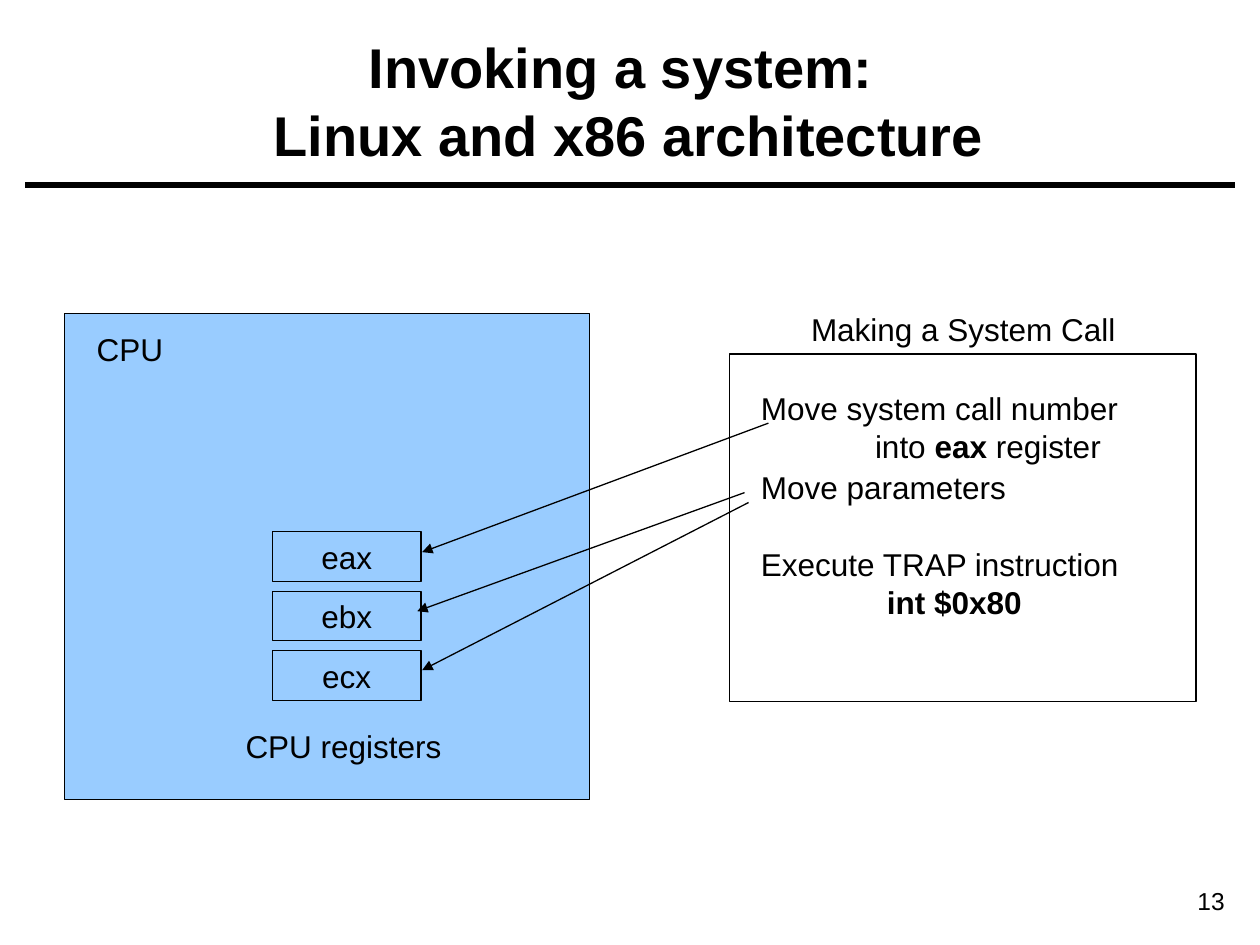
"""Build a slide on invoking a Linux system call on the x86 architecture."""
from lxml import etree
from pptx import Presentation
from pptx import util as u
from pptx.dml.color import RGBColor
from pptx.enum import shapes, text
from pptx.oxml import ns

BLACK = RGBColor(0x00, 0x00, 0x00)
SKY = RGBColor(0x99, 0xCC, 0xFF)
LEFT, CENTER, RIGHT = text.PP_ALIGN.LEFT, text.PP_ALIGN.CENTER, text.PP_ALIGN.RIGHT
TOP, MIDDLE = text.MSO_ANCHOR.TOP, text.MSO_ANCHOR.MIDDLE


def write(words, box, size=18, bold=False, align=LEFT, anchor=TOP,
          indents=(), gaps=(), framed=False, fill=None):
    """Put text in a box; words between asterisks are bold."""
    place = [u.Cm(length) for length in box]
    if framed:
        holder = slide.shapes.add_shape(shapes.MSO_SHAPE.RECTANGLE, *place)
        holder.shadow.inherit = False
        holder.line.color.rgb = BLACK
        holder.line.width = u.Pt(0.75)
        if fill is None:
            holder.fill.background()
        else:
            holder.fill.solid()
            holder.fill.fore_color.rgb = fill
    else:
        holder = slide.shapes.add_textbox(*place)
    if not words:
        return
    frame = holder.text_frame
    frame.word_wrap = True
    frame.vertical_anchor = anchor
    for row, sentence in enumerate(words.split("\n")):
        paragraph = frame.add_paragraph() if row else frame.paragraphs[0]
        paragraph.alignment = align
        if row in indents:
            paragraph._p.get_or_add_pPr().set("marL", str(u.Cm(indents[row])))
        if row in gaps:
            paragraph.space_before = u.Pt(gaps[row])
        for part, piece in enumerate(sentence.split("*")):
            if piece:
                run = paragraph.add_run()
                run.text = piece
                run.font.name = "Arial"
                run.font.size = u.Pt(size)
                run.font.bold = bold or part % 2 == 1
                run.font.color.rgb = BLACK


def connect(start, end, width=0.75, arrow=True):
    """Draw a straight line, with an arrowhead at its end if wanted."""
    link = slide.shapes.add_connector(
        shapes.MSO_CONNECTOR.STRAIGHT, *[u.Cm(length) for length in start + end])
    link.line.color.rgb = BLACK
    link.line.width = u.Pt(width)
    if arrow:
        etree.SubElement(link.line._get_or_add_ln(), ns.qn("a:tailEnd"), type="triangle")
    etree.SubElement(link._element.spPr, ns.qn("a:effectLst"))


deck = Presentation()
deck.slide_width, deck.slide_height = u.Cm(25.4), u.Cm(19.05)
slide = deck.slides.add_slide(deck.slide_layouts[6])

connect((0.51, 3.73), (24.89, 3.73), width=3, arrow=False)
write("13", (22.3, 17.73, 2.64, 0.86), size=14, align=RIGHT)
write("Invoking a system: \nLinux and x86 architecture", (0.88, 0.43, 23.6, 3.18),
      size=32, bold=True, align=CENTER, anchor=MIDDLE)

write("", (1.3, 6.32, 10.59, 9.8), framed=True, fill=SKY)
write("CPU", (1.7, 6.53, 2.2, 1.02))
for slot, register in enumerate(("eax", "ebx", "ecx")):
    write(register, (5.49, 10.72 + 1.2 * slot, 3, 1), align=CENTER, anchor=MIDDLE,
          framed=True, fill=SKY)
write("CPU registers", (4.7, 14.53, 5, 1.04))

write("Making a System Call", (16.1, 6.12, 7.2, 1.04))
write("", (14.71, 7.14, 9.4, 7.01), framed=True)
write("Move system call number\ninto *eax* register", (15.09, 7.72, 8.4, 1.8),
      indents={1: 2.3})
write("Move parameters\nExecute TRAP instruction\n*int $0x80*", (15.09, 9.32, 8.4, 3.35),
      indents={2: 2.54}, gaps={1: 22})

for step, register in (
    ((15.49, 8.53), (8.51, 11.13)),
    ((15.01, 9.93), (8.41, 12.32)),
    ((15.09, 10.13), (8.51, 13.51)),
):
    connect(step, register)

deck.save("out.pptx")
